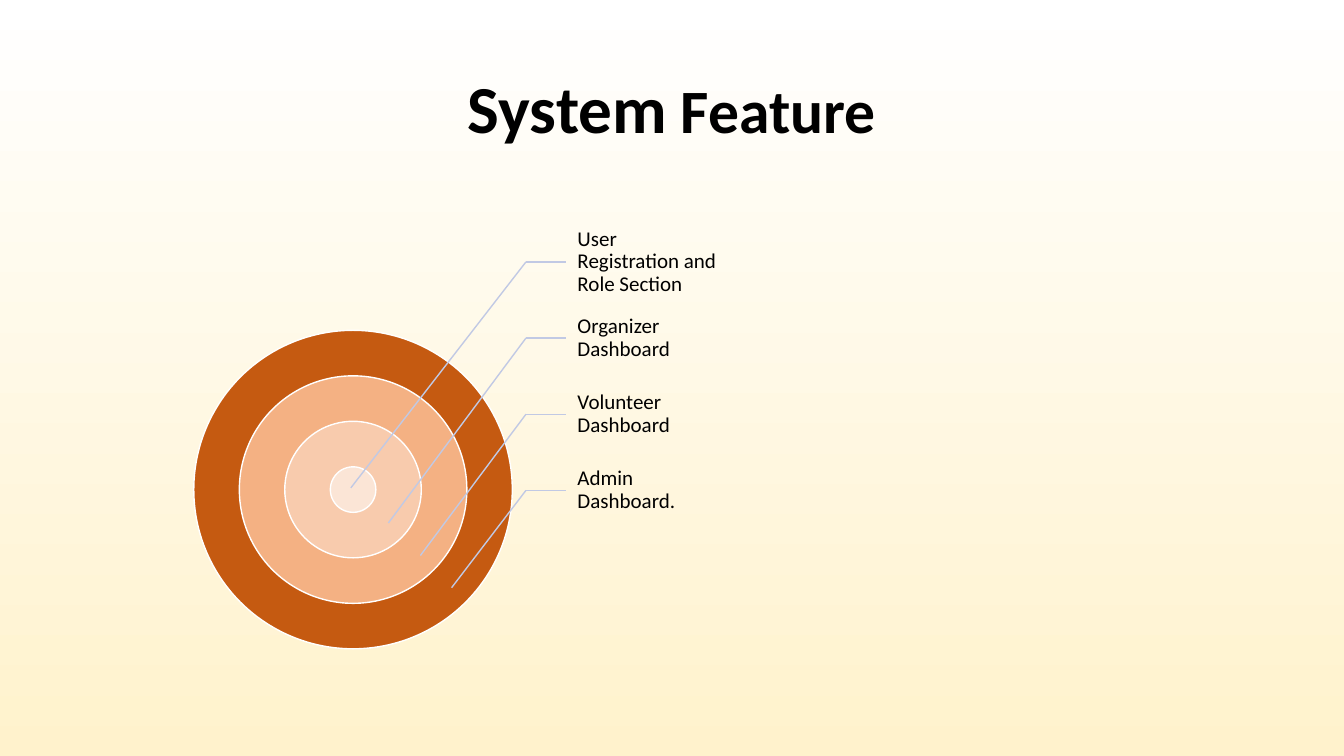
from dataclasses import dataclass

from lxml.etree import SubElement
from pptx import Presentation
from pptx.dml.color import RGBColor
from pptx.enum.shapes import MSO_CONNECTOR, MSO_SHAPE
from pptx.enum.text import MSO_ANCHOR, PP_ALIGN
from pptx.oxml.ns import qn
from pptx.shapes.autoshape import Shape
from pptx.shapes.connector import Connector
from pptx.slide import Slide
from pptx.util import Pt


@dataclass(frozen=True)
class Theme:
    font: str = "Calibri"
    text: str = "000000"
    outline: str = "FFFFFF"
    leader: str = "C1C9E4"
    background_top: str = "FFFFFF"
    background_bottom: str = "FFF2CC"
    title_large: float = 48
    title_small: float = 44
    label: float = 15
    line_width: float = 1


@dataclass(frozen=True)
class Feature:
    name: str
    ring_color: str
    target_x: float
    target_y: float


THEME = Theme()
FEATURES = [
    Feature("User Registration and Role Section", "FBE5D6", 250.6, 348.5),
    Feature("Organizer Dashboard", "F8CBAD", 277.4, 373.6),
    Feature("Volunteer Dashboard", "F4B183", 300.3, 396.8),
    Feature("Admin Dashboard.", "C55A11", 322.6, 419.8),
]
CENTER_X, CENTER_Y = 252.2, 349.7
CORE_DIAMETER, RING_STEP = 32.5, 65
LABEL_LEFT, LABEL_TOP, LABEL_WIDTH, LABEL_HEIGHT = 404, 159.9, 113.8, 54.4
ELBOW_X = 375.7


def add_text(
    slide: Slide,
    runs: list[tuple[str, float]],
    *,
    left: float,
    top: float,
    width: float,
    height: float,
    insets: tuple[float, float, float, float],
    bold: bool = False,
    alignment: PP_ALIGN = PP_ALIGN.LEFT,
) -> Shape:
    shape = slide.shapes.add_textbox(Pt(left), Pt(top), Pt(width), Pt(height))
    frame = shape.text_frame
    frame.word_wrap = True
    frame.vertical_anchor = MSO_ANCHOR.MIDDLE
    frame.margin_left, frame.margin_top, frame.margin_right, frame.margin_bottom = map(Pt, insets)
    paragraph = frame.paragraphs[0]
    paragraph.alignment = alignment
    paragraph.line_spacing = 0.9
    for text, size in runs:
        run = paragraph.add_run()
        run.text = text
        run.font.name = THEME.font
        run.font.size = Pt(size)
        run.font.bold = bold
        run.font.color.rgb = RGBColor.from_string(THEME.text)
    return shape


def add_ring(slide: Slide, color: str, diameter: float) -> None:
    ring = slide.shapes.add_shape(
        MSO_SHAPE.OVAL,
        Pt(CENTER_X - diameter / 2),
        Pt(CENTER_Y - diameter / 2),
        Pt(diameter),
        Pt(diameter),
    )
    ring.shadow.inherit = False
    ring.fill.solid()
    ring.fill.fore_color.rgb = RGBColor.from_string(color)
    ring.line.color.rgb = RGBColor.from_string(THEME.outline)
    ring.line.width = Pt(THEME.line_width)


def add_leader(slide: Slide, start: tuple[float, float], end: tuple[float, float]) -> Connector:
    leader = slide.shapes.add_connector(MSO_CONNECTOR.STRAIGHT, *map(Pt, start + end))
    leader.line.color.rgb = RGBColor.from_string(THEME.leader)
    leader.line.width = Pt(THEME.line_width)
    SubElement(leader.element.spPr, qn("a:effectLst"))
    return leader


def add_feature(slide: Slide, feature: Feature, index: int) -> None:
    top = LABEL_TOP + index * LABEL_HEIGHT
    label = add_text(
        slide,
        [(feature.name, THEME.label)],
        left=LABEL_LEFT,
        top=top,
        width=LABEL_WIDTH,
        height=LABEL_HEIGHT,
        insets=(8.5, 1.5, 1.5, 1.5),
    )
    elbow = (ELBOW_X, top + LABEL_HEIGHT / 2)
    add_leader(slide, elbow, (LABEL_LEFT, elbow[1])).end_connect(label, 1)
    add_leader(slide, elbow, (feature.target_x, feature.target_y))


def paint_background(slide: Slide) -> None:
    fill = slide.background.fill
    fill.gradient()
    fill.gradient_angle = 270
    for stop, color in zip(fill.gradient_stops, (THEME.background_top, THEME.background_bottom)):
        stop.color.rgb = RGBColor.from_string(color)


def main() -> None:
    presentation = Presentation()
    presentation.slide_width, presentation.slide_height = Pt(960), Pt(540)
    slide = presentation.slides.add_slide(presentation.slide_layouts[6])
    paint_background(slide)
    add_text(
        slide,
        [("System", THEME.title_large), (" Feature", THEME.title_small)],
        left=102,
        top=38,
        width=756,
        height=83,
        insets=(7.2, 3.6, 7.2, 3.6),
        bold=True,
        alignment=PP_ALIGN.CENTER,
    )
    for index, feature in reversed(list(enumerate(FEATURES))):
        add_ring(slide, feature.ring_color, CORE_DIAMETER + index * RING_STEP)
    for index, feature in enumerate(FEATURES):
        add_feature(slide, feature, index)
    presentation.save("out.pptx")


if __name__ == "__main__":
    main()
